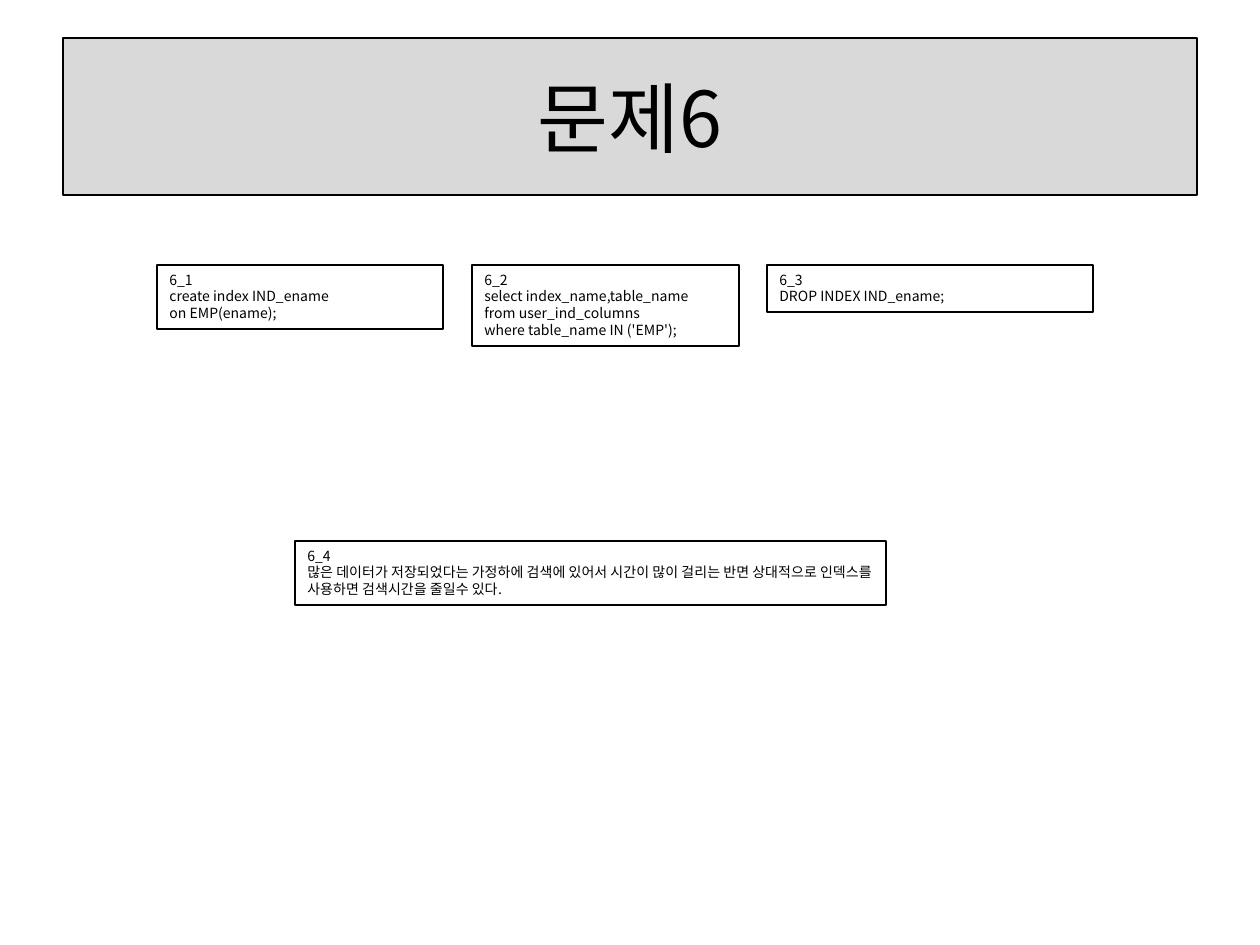
from lxml.etree import SubElement
from pptx import Presentation
from pptx.dml.color import RGBColor
from pptx.enum.text import MSO_ANCHOR, MSO_AUTO_SIZE, PP_ALIGN
from pptx.oxml.ns import qn
from pptx.util import Pt

PX = 914400 // 126
FONT = "Noto Sans CJK KR"
BLACK, GREY = "000000", "D9D9D9"
LINE_HEIGHT, BOX_PADDING = 17, 13

TITLE = "문제6"
ANSWERS = [
    (157, 265, 286, 3, ["6_1", "create index IND_ename", "on EMP(ename);"]),
    (295, 541, 591, 3, [
        "6_4",
        "많은 데이터가 저장되었다는 가정하에 검색에 있어서 시간이 많이 걸리는 반면 "
        "상대적으로 인덱스를 사용하면 검색시간을 줄일수 있다.",
    ]),
    (767, 265, 326, 2, ["6_3", "DROP INDEX IND_ename;"]),
    (472, 265, 267, 4, [
        "6_2",
        "select index_name,table_name",
        "from user_ind_columns",
        "where table_name IN ('EMP');",
    ]),
]


def color(hex_code):
    return RGBColor.from_string(hex_code)


def place(box, left, top, width, height):
    box.left, box.top = left * PX, top * PX
    box.width, box.height = width * PX, height * PX


def outline(box):
    box.line.color.rgb = color(BLACK)
    box.line.width = Pt(0.75)


def write(frame, text, size, align):
    frame.text = text
    frame.word_wrap = True
    for paragraph in frame.paragraphs:
        paragraph.alignment = align
        for run in paragraph.runs:
            run.font.size = Pt(size)
            run.font.name = FONT
            run.font.color.rgb = color(BLACK)
            SubElement(run._r.get_or_add_rPr(), qn("a:ea"), typeface=FONT)


prs = Presentation()
prs.slide_width, prs.slide_height = 1260 * PX, 945 * PX
slide = prs.slides.add_slide(prs.slide_layouts[5])

title = slide.shapes.title
place(title, 63, 38, 1134, 157)
title.fill.solid()
title.fill.fore_color.rgb = color(GREY)
outline(title)
write(title.text_frame, TITLE, 44, PP_ALIGN.CENTER)
title.text_frame.vertical_anchor = MSO_ANCHOR.MIDDLE

for left, top, width, rows, lines in ANSWERS:
    answer = slide.shapes.add_textbox(0, 0, 0, 0)
    place(answer, left, top, width, BOX_PADDING + rows * LINE_HEIGHT)
    outline(answer)
    write(answer.text_frame, "\n".join(lines), 8, PP_ALIGN.LEFT)
    answer.text_frame.auto_size = MSO_AUTO_SIZE.SHAPE_TO_FIT_TEXT

prs.save("out.pptx")
